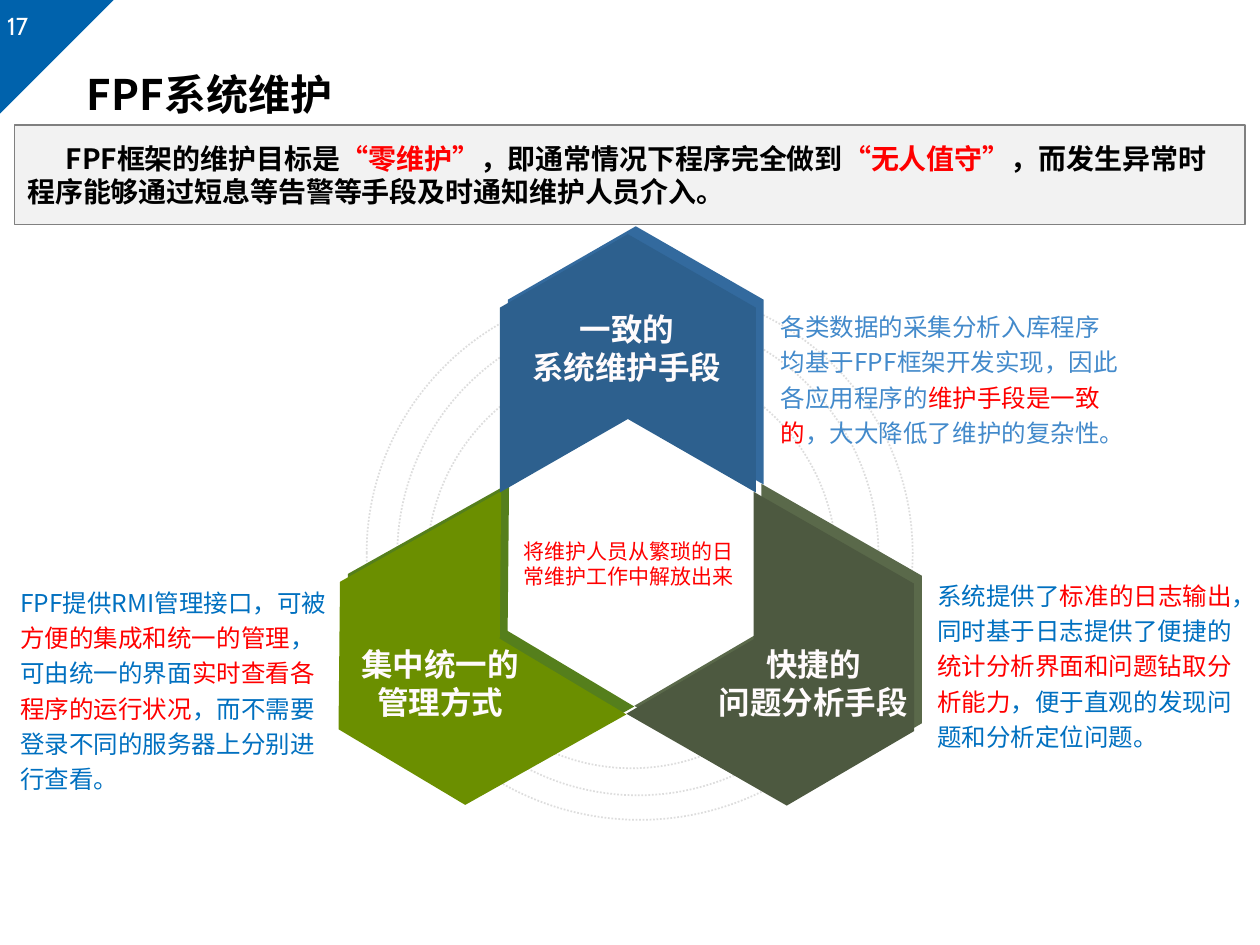
from lxml import etree
from pptx import Presentation
from pptx.dml.color import RGBColor
from pptx.enum.dml import MSO_LINE
from pptx.enum.shapes import MSO_CONNECTOR, MSO_SHAPE as SHAPE
from pptx.enum.text import MSO_ANCHOR as ANCHOR, PP_ALIGN as ALIGN
from pptx.oxml.ns import qn
from pptx.util import Pt

FONT = "Noto Sans CJK SC"
RED = "FF0000"
GREY = "808080"
DEPTH = 4.5
INSET = (7.2, 3.6)


def rgb(value):
    return RGBColor.from_string(value)


def place(box):
    return [Pt(v) for v in box]


def add_shape(slide, kind, box, fill=None, line=None, width=0.75):
    s = slide.shapes.add_shape(kind, *place(box))
    s.shadow.inherit = False
    if fill:
        s.fill.solid()
        s.fill.fore_color.rgb = rgb(fill)
    else:
        s.fill.background()
    if line:
        s.line.color.rgb = rgb(line)
        s.line.width = Pt(width)
    else:
        s.line.fill.background()
    return s


def write(s, text, size, color, bold=False, font=FONT, align=ALIGN.LEFT,
          anchor=ANCHOR.TOP, inset=INSET, spacing=None, indent=0):
    """Fill a shape with one paragraph a line; text between bars is red."""
    tf = s.text_frame
    tf.word_wrap = True
    tf.vertical_anchor = anchor
    tf.margin_left = tf.margin_right = Pt(inset[0])
    tf.margin_top = tf.margin_bottom = Pt(inset[1])
    for i, line in enumerate(text.split("\n")):
        p = tf.add_paragraph() if i else tf.paragraphs[0]
        p.alignment = align
        if spacing:
            p.line_spacing = spacing
        if indent:
            p._p.get_or_add_pPr().set("indent", str(Pt(indent)))
        p.font.size, p.font.bold, p.font.name = Pt(size), bold, font
        latin = p.font._element.find(qn("a:latin"))
        ea = etree.Element(qn("a:ea"), typeface=font)
        latin.addnext(ea)
        for j, part in enumerate(line.split("|")):
            if part:
                r = p.add_run()
                r.text = part
                r.font.color.rgb = rgb(RED if j % 2 else color)


def add_text(slide, box, *args, **kwargs):
    write(slide.shapes.add_textbox(*place(box)), *args, **kwargs)


def add_header(slide, box):
    """Page corner, title and the rule below it."""
    x, y, w, h = box
    corner = add_shape(slide, SHAPE.RIGHT_TRIANGLE, (x, y, 65, 65), "0062AC")
    corner._element.spPr.find(qn("a:xfrm")).set("flipV", "1")
    add_text(slide, (x - 3, y + 3.5, 168, 22.5), "17", 14, "FFFFFF",
             font="Cabin", anchor=ANCHOR.MIDDLE)
    rule = slide.shapes.add_connector(
        MSO_CONNECTOR.STRAIGHT, *place((x + 48, y + h, x + w - 31, y + h)))
    rule.line.color.rgb = rgb(GREY)
    rule.line.width = Pt(0.75)
    etree.SubElement(rule._element.spPr, qn("a:effectLst"))
    title = slide.shapes.title
    title.left, title.top, title.width, title.height = place(
        (x + 42.5, y + 35.5, 281, 36.5))
    write(title, "FPF系统维护", 24, "000000", bold=True, anchor=ANCHOR.MIDDLE)


def add_cycle(slide, x, y):
    """Dotted rings, three raised chevrons with labels, and the centre text."""
    for dx, dy, w, h in [(25.5, 29.5, 312, 305), (43, 45.5, 275, 275),
                         (60, 71, 234, 234)]:
        ring = add_shape(slide, SHAPE.OVAL, (x + dx, y + dy, w, h),
                         line="DDDDDD", width=1)
        ring.line.dash_style = MSO_LINE.ROUND_DOT

    chevrons = [(0, 173.5, 150.7, "6B8F00", "557F1C"),
                (101, 0.5, 270, "2D608E", "336A9E"),
                (200.5, 174, 29.8, "4D5940", "5A694A")]
    for dx, dy, angle, face, side in chevrons:
        for shift, color in [(DEPTH, side), (0, face)]:
            s = add_shape(slide, SHAPE.CHEVRON,
                          (x + dx + shift, y + dy - shift, 147.6, 146.2), color)
            s.adjustments[0] = 0.287
            s.rotation = angle

    add_text(slide, (x + 102, y + 170, 146, 36),
             "将维护人员从繁琐的日常维护工作中解放出来", 12, RED, align=ALIGN.CENTER)
    labels = [(94, 39.5, 160.5, "一致的\n系统维护手段"),
              (12, 231, 111, "集中统一的管理方式"),
              (215.5, 231, 130.5, "快捷的\n问题分析手段")]
    for dx, dy, w, text in labels:
        add_text(slide, (x + dx, y + dy, w, 51), text, 18, "FFFBFC",
                 bold=True, align=ALIGN.CENTER)


def add_notes_around(slide):
    notes = [
        ((439, 171.5, 209.5, 88.5), "438ACB", INSET,
         "各类数据的采集分析入库程序均基于FPF框架开发实现，因此各应用程序的"
         "|维护手段是一致的|，大大降低了维护的复杂性。"),
        ((11.5, 332.5, 178.5, 122.5), "0070C0", (0, 0),
         "FPF提供RMI管理接口，可被|方便的集成和统一的管理|，可由统一的界面"
         "|实时查看各程序的运行状况|，而不需要登录不同的服务器上分别进行查看。"),
        ((535.5, 328.5, 181.5, 101.5), "0070C0", (0, 0),
         "系统提供了|标准的日志输出|，同时基于日志提供了便捷的"
         "|统计分析界面和问题钻取分析能力|，便于直观的发现问题和分析定位问题。"),
    ]
    for box, color, inset, text in notes:
        add_text(slide, box, text, 14, color, inset=inset, spacing=1.2)


def add_goal(slide, box):
    s = add_shape(slide, SHAPE.RECTANGLE, box, "F2F2F2", GREY)
    write(s, "FPF框架的维护目标是|“零维护”|，即通常情况下程序完全做到|“无人值守”|，"
          "而发生异常时程序能够通过短息等告警等手段及时通知维护人员介入。",
          16, "000000", bold=True, anchor=ANCHOR.MIDDLE, indent=22)


def main():
    prs = Presentation()
    prs.slide_width, prs.slide_height = Pt(720), Pt(540)
    slide = prs.slides.add_slide(prs.slide_layouts[5])
    add_header(slide, (0, 0, 720, 71.5))
    add_cycle(slide, 184, 134)
    add_notes_around(slide)
    add_goal(slide, (8.5, 71.5, 703, 57))
    prs.save("out.pptx")


if __name__ == "__main__":
    main()
